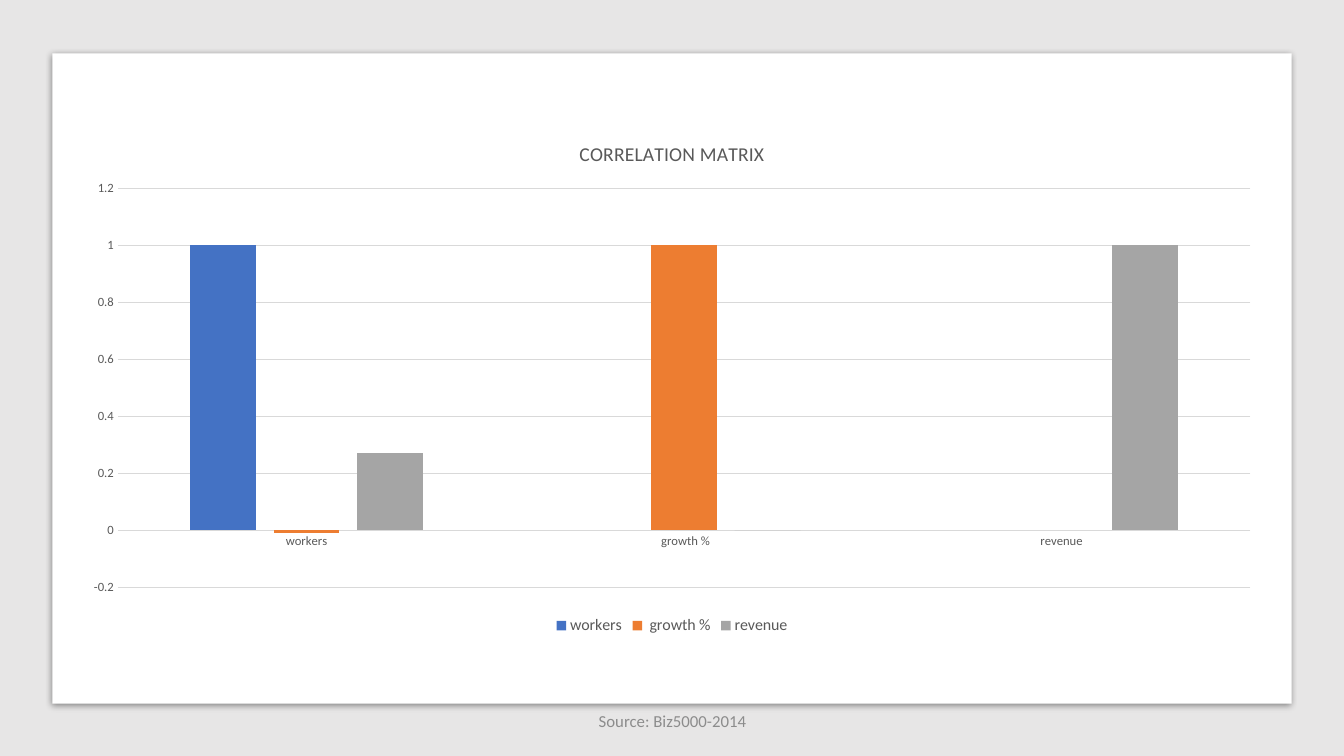
from lxml import etree
from pptx import Presentation
from pptx import util as u
from pptx.chart import data
from pptx.dml.color import RGBColor
from pptx.enum import chart as c, shapes, text
from pptx.oxml import ns

BACKDROP = RGBColor(0xE7, 0xE6, 0xE6)
WHITE = RGBColor(0xFF, 0xFF, 0xFF)
LABEL = RGBColor(0x59, 0x59, 0x59)
GRID = RGBColor(0xD9, 0xD9, 0xD9)
SOURCE = RGBColor(0x8C, 0x8C, 0x8C)
BLUE = RGBColor(0x44, 0x72, 0xC4)
ORANGE = RGBColor(0xED, 0x7D, 0x31)
GRAY = RGBColor(0xA5, 0xA5, 0xA5)


def add_panel(page, left, top, width, height, color):
    panel = page.shapes.add_shape(
        shapes.MSO_SHAPE.RECTANGLE,
        u.Inches(left), u.Inches(top), u.Inches(width), u.Inches(height))
    panel.shadow.inherit = False
    panel.fill.solid()
    panel.fill.fore_color.rgb = color
    panel.line.fill.background()
    return panel


def style_font(font, size, color):
    font.name = "Calibri"
    font.size = u.Pt(size)
    font.bold = False
    font.color.rgb = color


deck = Presentation()
deck.slide_width = u.Inches(13.33)
deck.slide_height = u.Inches(7.5)
page = deck.slides.add_slide(deck.slide_layouts[6])

add_panel(page, 0, 0, 13.33, 7.5, BACKDROP)
card = add_panel(page, 0.52, 0.53, 12.29, 6.45, WHITE)
effects = card.element.spPr.find(ns.qn("a:effectLst"))
shadow = etree.SubElement(effects, ns.qn("a:outerShdw"), blurRad=str(u.Pt(5)),
                          dist=str(u.Pt(1.4)), dir="5400000", rotWithShape="0")
shade = etree.SubElement(shadow, ns.qn("a:srgbClr"), val="000000")
etree.SubElement(shade, ns.qn("a:alpha"), val="43000")

series_rows = [
    ("workers", (1, None, None), BLUE),
    (" growth %", (-0.01, 1, None), ORANGE),
    ("revenue", (0.27, 0, 1), GRAY),
]
chart_data = data.CategoryChartData()
chart_data.categories = [name for name, values, color in series_rows]
for name, values, color in series_rows:
    chart_data.add_series(name, values)

chart = page.shapes.add_chart(
    c.XL_CHART_TYPE.COLUMN_CLUSTERED, u.Inches(0.69), u.Inches(1.2),
    u.Inches(11.95), u.Inches(5.14), chart_data).chart
chart.font.name = "Calibri"
chart.font.size = u.Pt(10)

chart.has_title = True
chart.chart_title.include_in_layout = False
span = chart.chart_title.text_frame.paragraphs[0].add_run()
span.text = "CORRELATION MATRIX"
style_font(span.font, 14, LABEL)

chart.has_legend = True
chart.legend.position = c.XL_LEGEND_POSITION.BOTTOM
chart.legend.include_in_layout = False
style_font(chart.legend.font, 11.4, LABEL)

columns = chart.plots[0]
columns.vary_by_categories = False
columns.gap_width = 219
columns.overlap = -27
for series, (name, values, color) in zip(columns.series, series_rows):
    series.invert_if_negative = False
    series.format.fill.solid()
    series.format.fill.fore_color.rgb = color

for axis in (chart.category_axis, chart.value_axis):
    axis.major_tick_mark = c.XL_TICK_MARK.NONE
    axis.minor_tick_mark = c.XL_TICK_MARK.NONE
    style_font(axis.tick_labels.font, 9, LABEL)

value_axis = chart.value_axis
value_axis.minimum_scale = -0.2
value_axis.maximum_scale = 1.2
value_axis.major_unit = 0.2
value_axis.format.line.fill.background()
value_axis.has_major_gridlines = True
for line in (chart.category_axis.format.line, value_axis.major_gridlines.format.line):
    line.color.rgb = GRID
    line.width = u.Pt(0.75)

plot_area = chart.element.find(".//" + ns.qn("c:plotArea"))
for old_layout in plot_area.findall(ns.qn("c:layout")):
    plot_area.remove(old_layout)
layout = etree.Element(ns.qn("c:layout"))
plot_area.insert(0, layout)
manual = etree.SubElement(layout, ns.qn("c:manualLayout"))
for tag, value in (("layoutTarget", "inner"), ("xMode", "edge"), ("yMode", "edge"),
                   ("x", "0.04"), ("y", "0.13"), ("w", "0.94"), ("h", "0.77")):
    etree.SubElement(manual, ns.qn("c:" + tag), val=value)

box = page.shapes.add_textbox(u.Inches(4.42), u.Inches(6.95), u.Inches(4.5), u.Inches(0.4))
frame = box.text_frame
frame.word_wrap = True
frame.vertical_anchor = text.MSO_ANCHOR.MIDDLE
para = frame.paragraphs[0]
para.alignment = text.PP_ALIGN.CENTER
span = para.add_run()
span.text = "Source: Biz5000-2014"
style_font(span.font, 12, SOURCE)

deck.save("out.pptx")
